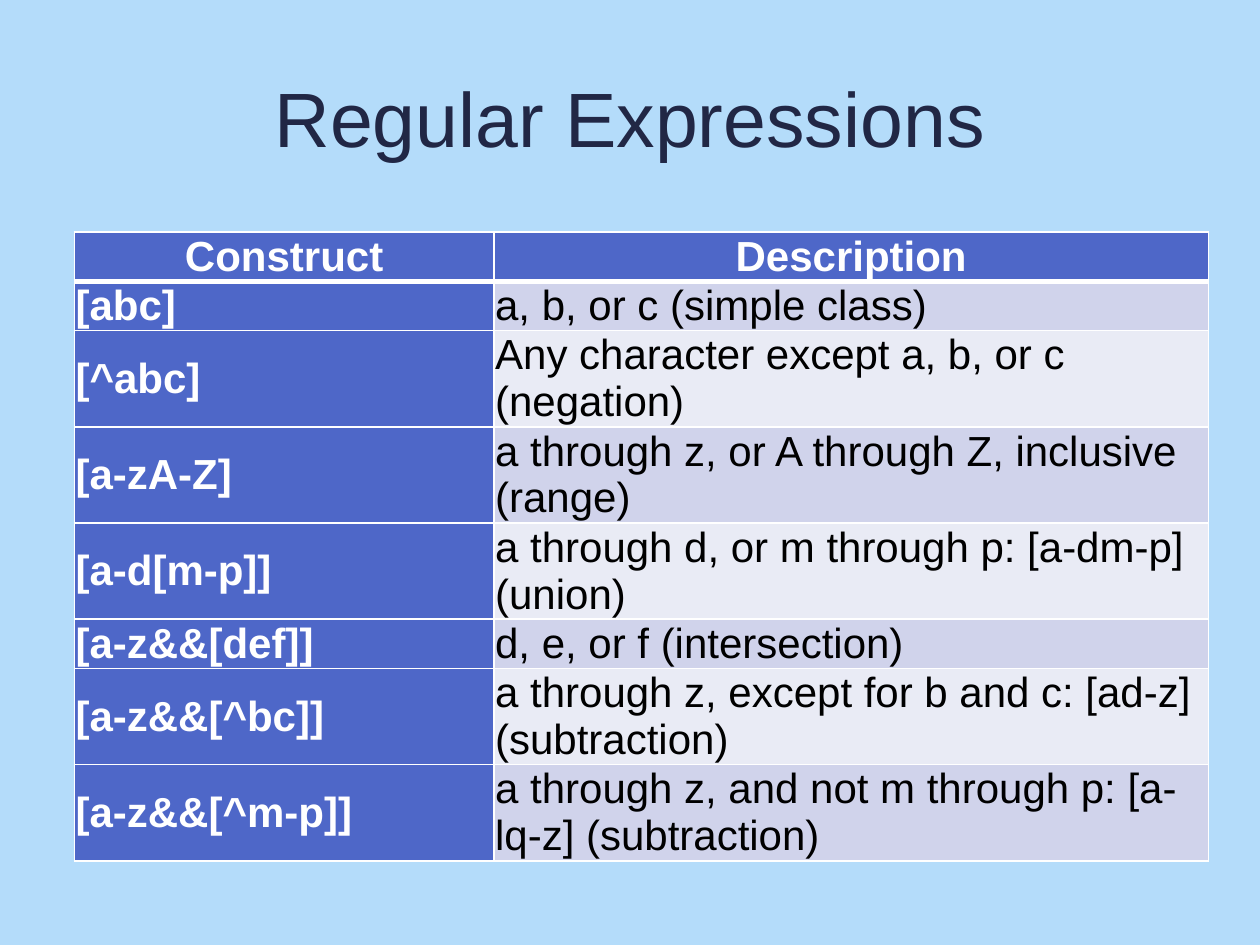
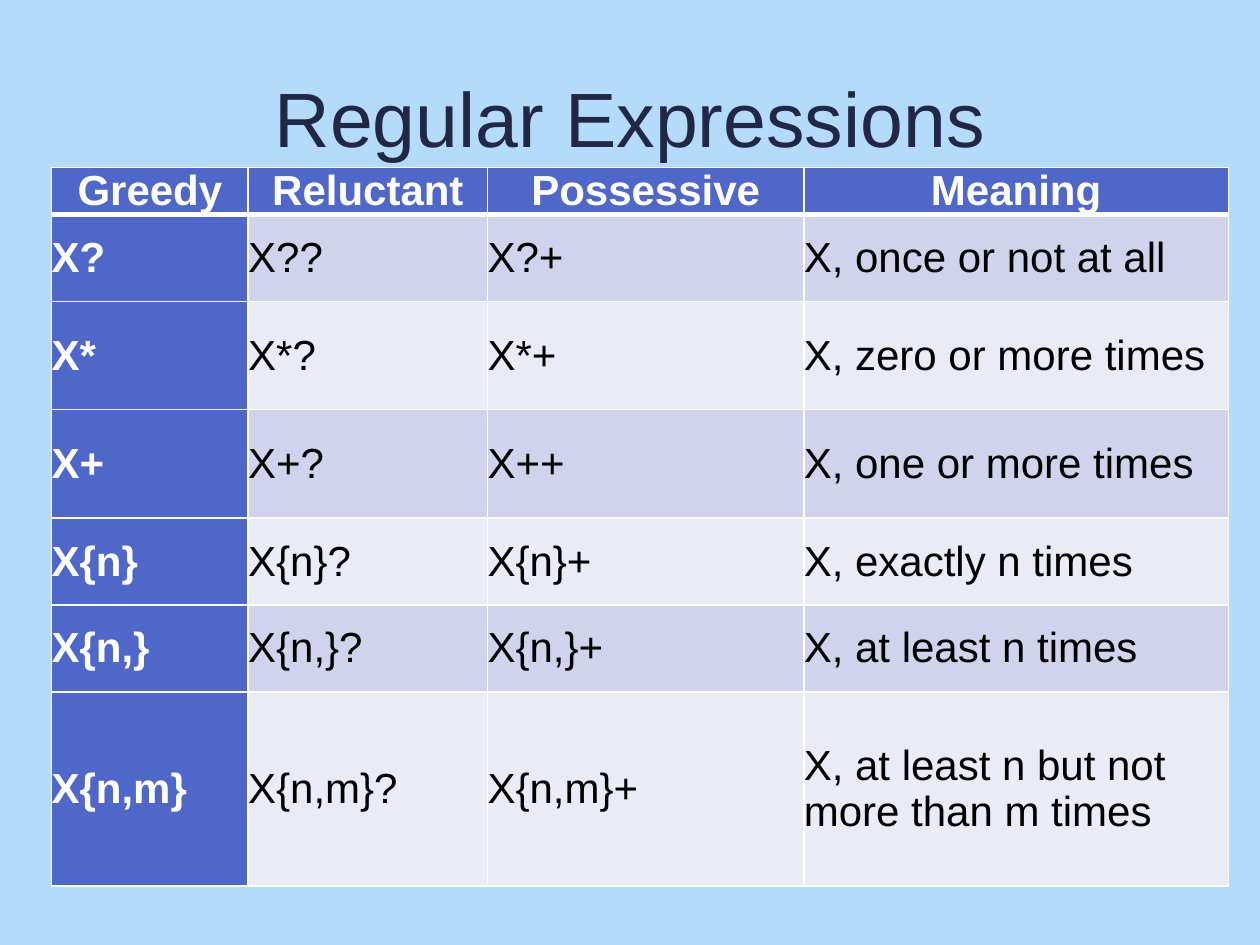
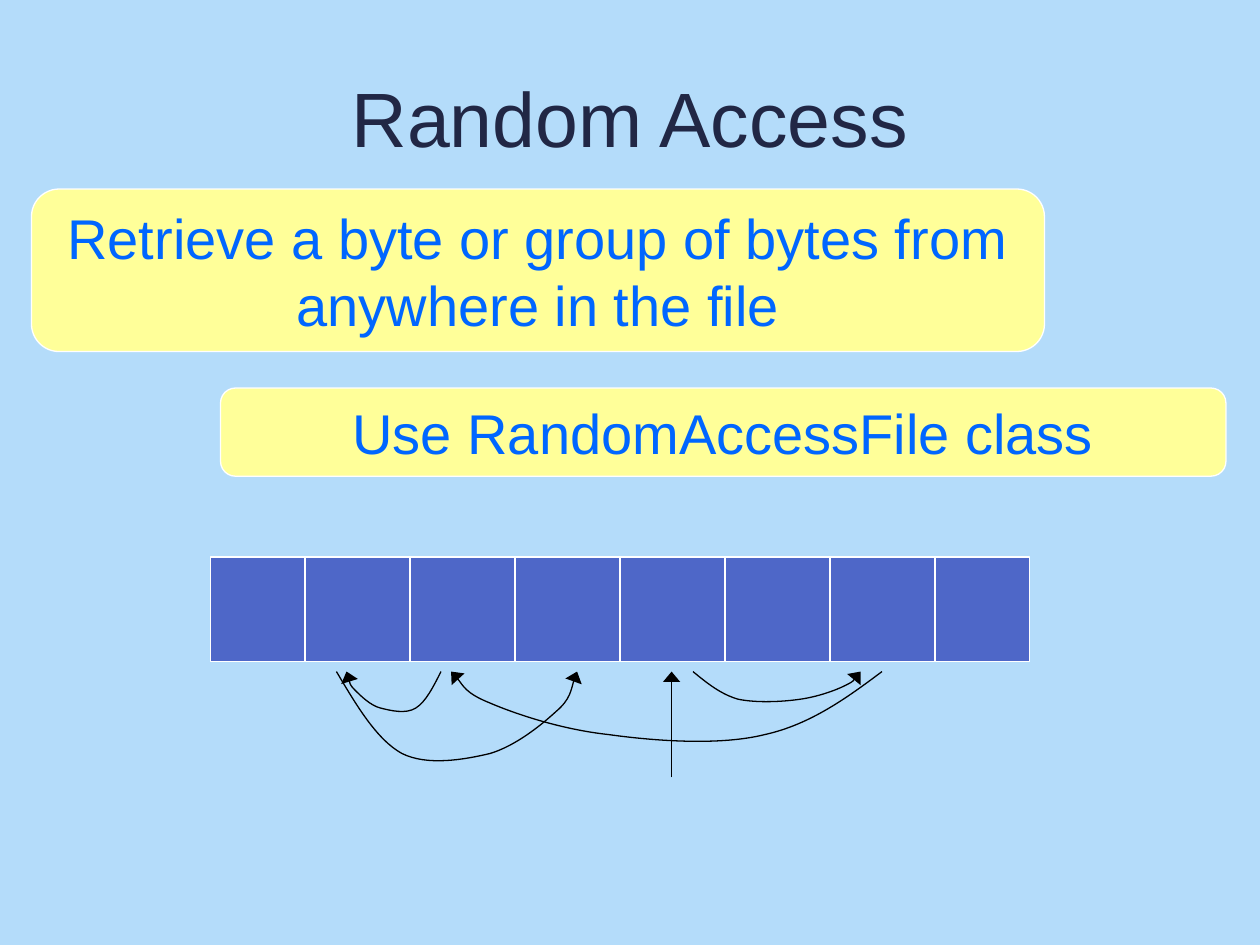
from dataclasses import dataclass

import pptx
import pptx.dml.color
import pptx.enum.shapes
import pptx.enum.text
import pptx.oxml
import pptx.oxml.ns
import pptx.util
from pptx.util import Inches

# Shared look
FONT = "Arial"
SKY, NAVY, INDIGO = "B4DCFA", "212745", "4E67C8"
WHITE, BLACK = "FFFFFF", "000000"
BANDS = ("D0D3EB", "E9EBF5")
YELLOW, BLUE = "FFFF99", "0066FF"
HAIRLINE = 0.75
TITLE_ONLY = 5
CENTER = pptx.enum.text.PP_ALIGN.CENTER
LEFT = pptx.enum.text.PP_ALIGN.LEFT
MIDDLE = pptx.enum.text.MSO_ANCHOR.MIDDLE

Point = tuple[float, float]


@dataclass
class Grid:
    left: float
    top: float
    columns: list[float]
    heights: list[float]
    inset: float
    rows: list[list[str]]


@dataclass
class Callout:
    left: float
    top: float
    width: float
    height: float
    text: str


@dataclass
class Jump:
    """A curved arrow: a start point, then three points per Bézier segment."""
    start: Point
    curves: list[tuple[Point, Point, Point]]


CLASSES = Grid(0.59, 1.84, [3.33, 5.67],
               [0.39, 0.39, 0.76, 0.76, 0.76, 0.39, 0.76, 0.76], 0.01, [
    ["Construct", "Description"],
    ["[abc]", "a, b, or c (simple class)"],
    ["[^abc]", "Any character except a, b, or c (negation)"],
    ["[a-zA-Z]", "a through z, or A through Z, inclusive (range)"],
    ["[a-d[m-p]]", "a through d, or m through p: [a-dm-p] (union)"],
    ["[a-z&&[def]]", "d, e, or f (intersection)"],
    ["[a-z&&[^bc]]", "a through z, except for b and c: [ad-z] (subtraction)"],
    ["[a-z&&[^m-p]]", "a through z, and not m through p: [a-lq-z] (subtraction)"],
])

MEANINGS = {
    "X?": "X, once or not at all",
    "X*": "X, zero or more times",
    "X+": "X, one or more times",
    "X{n}": "X, exactly n times",
    "X{n,}": "X, at least n times",
    "X{n,m}": "X, at least n but not more than m times",
}
QUANTIFIERS = Grid(0.41, 1.33, [1.56, 1.9, 2.51, 3.37],
                   [0.34, 0.69, 0.86, 0.86, 0.69, 0.69, 1.54], 0, [
    ["Greedy", "Reluctant", "Possessive", "Meaning"],
    *([greedy, greedy + "?", greedy + "+", meaning]
      for greedy, meaning in MEANINGS.items()),
])

CALLOUTS = [
    Callout(0.25, 1.5, 8.04, 1.29,
            "Retrieve a byte or group of bytes from anywhere in the file"),
    Callout(1.75, 3.08, 7.98, 0.7, "Use RandomAccessFile class"),
]

JUMPS = [
    Jump((3.5, 5.33), [((3.44, 5.45), (3.38, 5.57), (3.3, 5.62)),
                       ((3.22, 5.67), (3.1, 5.64), (3.02, 5.62)),
                       ((2.94, 5.6), (2.86, 5.52), (2.82, 5.48)),
                       ((2.77, 5.43), (2.76, 5.36), (2.75, 5.33))]),
    Jump((5.5, 5.33), [((5.61, 5.42), (5.72, 5.51), (5.86, 5.55)),
                       ((6.01, 5.58), (6.21, 5.57), (6.35, 5.55)),
                       ((6.49, 5.53), (6.63, 5.48), (6.71, 5.44)),
                       ((6.79, 5.4), (6.81, 5.35), (6.83, 5.33))]),
    Jump((2.67, 5.33), [((2.83, 5.6), (2.99, 5.87), (3.19, 5.98)),
                        ((3.39, 6.08), (3.68, 6.03), (3.89, 5.98)),
                        ((4.09, 5.92), (4.29, 5.76), (4.41, 5.65)),
                        ((4.53, 5.55), (4.55, 5.39), (4.58, 5.33))]),
    Jump((7, 5.33), [((6.72, 5.54), (6.43, 5.75), (6.07, 5.83)),
                     ((5.71, 5.92), (5.19, 5.88), (4.83, 5.83)),
                     ((4.46, 5.79), (4.1, 5.67), (3.89, 5.58)),
                     ((3.69, 5.5), (3.64, 5.38), (3.58, 5.33))]),
]


# Formatting helpers
def color(value: str) -> pptx.dml.color.RGBColor:
    return pptx.dml.color.RGBColor.from_string(value)


def paint(fill, value: str) -> None:
    fill.solid()
    fill.fore_color.rgb = color(value)


def stroke(line, value: str) -> None:
    paint(line.fill, value)
    line.width = pptx.util.Pt(HAIRLINE)


def drawing(tag: str, attributes: str = "", content: str = ""):
    return pptx.oxml.parse_xml(
        f'<a:{tag} {pptx.oxml.ns.nsdecls("a")} {attributes}>{content}</a:{tag}>')


def write(frame, text: str, size: float, value: str, align=CENTER,
          bold: bool = False) -> None:
    frame.text = text
    frame.word_wrap = True
    para = frame.paragraphs[0]
    para.alignment = align
    for span in para.runs:
        span.font.name = FONT
        span.font.size = pptx.util.Pt(size)
        span.font.bold = bold
        span.font.color.rgb = color(value)


def add_arrowhead(line) -> None:
    line._get_or_add_ln().append(
        drawing("tailEnd", 'type="triangle" w="lg" len="med"'))


def set_borders(cell, top: float, bottom: float) -> None:
    edges = {"lnL": 1, "lnR": 1, "lnT": top, "lnB": bottom}
    fill = f'<a:solidFill><a:srgbClr val="{WHITE}"/></a:solidFill>'
    for position, (edge, points) in enumerate(edges.items()):
        border = drawing(edge, f'w="{pptx.util.Pt(points)}"', fill)
        cell._tc.get_or_add_tcPr().insert(position, border)


# Page parts
def add_page(deck, title: str):
    page = deck.slides.add_slide(deck.slide_layouts[TITLE_ONLY])
    box = page.shapes.title
    box.left, box.top = Inches(0.5), Inches(0.3)
    box.width, box.height = Inches(9), Inches(1.25)
    write(box.text_frame, title, 44, NAVY)
    box.text_frame.vertical_anchor = MIDDLE
    return page


def add_grid(page, grid: Grid) -> None:
    table = page.shapes.add_table(
        len(grid.rows), len(grid.columns), Inches(grid.left), Inches(grid.top),
        Inches(sum(grid.columns)), Inches(sum(grid.heights))).table
    for column, width in zip(table.columns, grid.columns):
        column.width = Inches(width)
    for row, height in zip(table.rows, grid.heights):
        row.height = Inches(height)
    for row, texts in enumerate(grid.rows):
        for column, text in enumerate(texts):
            cell = table.cell(row, column)
            heading = row == 0 or column == 0
            cell.margin_left = cell.margin_right = Inches(grid.inset)
            cell.margin_top = cell.margin_bottom = Inches(grid.inset)
            cell.vertical_anchor = MIDDLE
            write(cell.text_frame, text, 24, WHITE if heading else BLACK,
                  CENTER if row == 0 else LEFT, heading)
            paint(cell.fill, INDIGO if heading else BANDS[(row - 1) % 2])
            set_borders(cell, 3 if row == 1 else 1, 3 if row == 0 else 1)


def add_box(shapes, kind, left: float, top: float, width: float, height: float,
            fill: str):
    box = shapes.add_shape(kind, Inches(left), Inches(top),
                           Inches(width), Inches(height))
    box.shadow.inherit = False
    paint(box.fill, fill)
    stroke(box.line, WHITE)
    return box


def add_line(shapes, start: Point, end: Point, value: str):
    line = shapes.add_connector(
        pptx.enum.shapes.MSO_CONNECTOR.STRAIGHT,
        *(Inches(length) for length in (*start, *end)))
    stroke(line.line, value)
    line._element.spPr.append(drawing("effectLst"))
    return line


def add_bytes(page) -> None:
    top, bottom, first, last, count = 4.42, 5.25, 2.42, 7.42, 7
    shapes = page.shapes.add_group_shape().shapes
    add_box(shapes, pptx.enum.shapes.MSO_SHAPE.RECTANGLE,
            1.67, top, 6.5, bottom - top, INDIGO)
    pitch = (last - first) / (count - 1)
    for index in range(count):
        x = first + index * pitch
        add_line(shapes, (x, top), (x, bottom), WHITE)


def add_jump(page, jump: Jump) -> None:
    points = [(Inches(x), Inches(y)) for curve in jump.curves for x, y in curve]
    builder = page.shapes.build_freeform(*(Inches(length) for length in jump.start))
    builder.add_line_segments(points, close=False)
    arrow = builder.convert_to_shape()
    # Every three straight segments become one Bézier segment
    segments = arrow._element.findall(".//" + pptx.oxml.ns.qn("a:lnTo"))
    for index in range(0, len(segments), 3):
        bezier = drawing("cubicBezTo")
        segments[index].addprevious(bezier)
        for segment in segments[index:index + 3]:
            bezier.append(segment[0])
            segment.getparent().remove(segment)
    arrow.shadow.inherit = False
    arrow.fill.background()
    stroke(arrow.line, BLACK)
    add_arrowhead(arrow.line)


def add_callout(page, callout: Callout) -> None:
    box = add_box(page.shapes, pptx.enum.shapes.MSO_SHAPE.ROUNDED_RECTANGLE,
                  callout.left, callout.top, callout.width, callout.height, YELLOW)
    box.adjustments[0] = 0.17
    box.text_frame.vertical_anchor = MIDDLE
    write(box.text_frame, callout.text, 32, BLUE)


def main() -> None:
    deck = pptx.Presentation()
    deck.slide_width, deck.slide_height = Inches(10), Inches(7.5)
    paint(deck.slide_master.background.fill, SKY)

    # Regular expression tables
    for grid in (CLASSES, QUANTIFIERS):
        add_grid(add_page(deck, "Regular Expressions"), grid)

    # Random access diagram
    page = add_page(deck, "Random Access")
    add_bytes(page)
    for jump in JUMPS:
        add_jump(page, jump)
    entry = add_line(page.shapes, (5.33, 6.17), (5.33, 5.33), BLACK)
    add_arrowhead(entry.line)
    for callout in CALLOUTS:
        add_callout(page, callout)

    deck.save("out.pptx")


if __name__ == "__main__":
    main()
